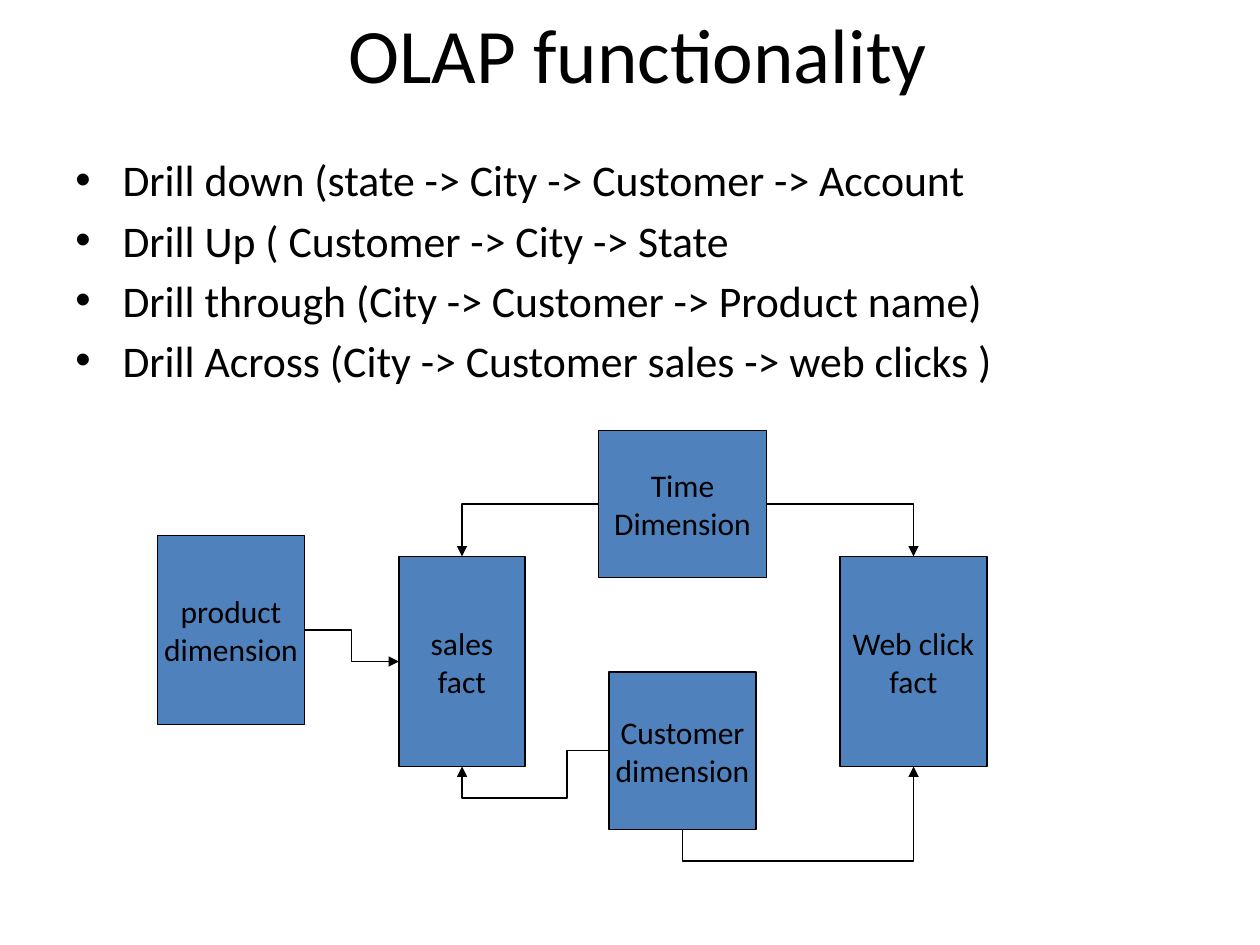
from lxml import etree
from pptx import Presentation
from pptx.dml.color import RGBColor
from pptx.enum.shapes import MSO_CONNECTOR, MSO_SHAPE
from pptx.enum.text import MSO_ANCHOR, PP_ALIGN
from pptx.oxml.ns import qn
from pptx.util import Emu, Pt

ELBOW = MSO_CONNECTOR.ELBOW
RECTANGLE = MSO_SHAPE.RECTANGLE
TOP, MIDDLE = MSO_ANCHOR.TOP, MSO_ANCHOR.MIDDLE
LEFT, CENTER = PP_ALIGN.LEFT, PP_ALIGN.CENTER
SIDE_TOP, SIDE_LEFT, SIDE_BOTTOM, SIDE_RIGHT = range(4)
PX = 9525

THEME = {
    "font": "Calibri",
    "ink": RGBColor(0x00, 0x00, 0x00),
    "box": RGBColor(0x4F, 0x81, 0xBD),
    "title": 44,
    "body": 25,
    "label": 18,
    "line": Pt(0.75),
}


def px(*lengths):
    return [Emu(length * PX) for length in lengths]


def write_text(holder, lines, size, align=LEFT, anchor=TOP, wrap=True, indent=0, gap=0):
    frame = holder.text_frame
    frame.word_wrap = wrap
    frame.vertical_anchor = anchor
    for index, line in enumerate(lines):
        paragraph = frame.add_paragraph() if index else frame.paragraphs[0]
        paragraph.alignment = align
        if index and gap:
            paragraph.space_before = Pt(gap)
        if indent:
            properties = paragraph._p.get_or_add_pPr()
            properties.set("marL", str(indent * PX))
            properties.set("indent", str(-indent * PX))
            etree.SubElement(properties, qn("a:buFont"), typeface="Arial")
            etree.SubElement(properties, qn("a:buChar"), char="•")
        run = paragraph.add_run()
        run.text = line
        run.font.name = THEME["font"]
        run.font.size = Pt(size)
        run.font.color.rgb = THEME["ink"]


deck = Presentation()
deck.slide_width, deck.slide_height = px(960, 720)
slide = deck.slides.add_slide(deck.slide_layouts[6])
shapes = slide.shapes

title = shapes.add_textbox(*px(256, 0, 864, 120))
write_text(title, ["OLAP functionality"], THEME["title"])

operations = shapes.add_textbox(*px(48, 112, 872, 475))
write_text(
    operations,
    [
        "Drill down (state -> City -> Customer -> Account",
        "Drill Up ( Customer -> City -> State",
        "Drill through (City -> Customer -> Product name)",
        "Drill Across (City -> Customer sales -> web clicks )",
    ],
    THEME["body"],
    indent=36,
    gap=4.4,
)

tables = {}
for key, bounds, label in [
    ("customer", (464, 512, 112, 120), ["Customer", "dimension"]),
    ("product", (120, 408, 112, 144), ["product", "dimension"]),
    ("sales", (304, 424, 96, 160), ["sales", "fact"]),
    ("time", (456, 328, 128, 112), ["Time", "Dimension"]),
    ("web", (640, 424, 112, 160), ["Web click", "fact"]),
]:
    table = shapes.add_shape(RECTANGLE, *px(*bounds))
    table.shadow.inherit = False
    table.fill.solid()
    table.fill.fore_color.rgb = THEME["box"]
    table.line.color.rgb = THEME["ink"]
    table.line.width = THEME["line"]
    write_text(table, label, THEME["label"], align=CENTER, anchor=MIDDLE, wrap=False)
    tables[key] = table

for source, source_side, target, target_side, bend, rotation, flips, adjustments in [
    ("product", SIDE_RIGHT, "sales", SIDE_LEFT, "bentConnector3", 0, "", [50000]),
    ("time", SIDE_LEFT, "sales", SIDE_TOP, "bentConnector2", 180, "v", []),
    ("customer", SIDE_LEFT, "sales", SIDE_BOTTOM, "bentConnector4", 180, "v", [28600, 300000]),
    ("time", SIDE_RIGHT, "web", SIDE_TOP, "bentConnector2", 0, "", []),
    ("customer", SIDE_BOTTOM, "web", SIDE_BOTTOM, "bentConnector3", 90, "hv", [-50000]),
]:
    relation = shapes.add_connector(ELBOW, 0, 0, 0, 0)
    relation.begin_connect(tables[source], source_side)
    relation.end_connect(tables[target], target_side)
    properties = relation._element.spPr
    transform = properties.xfrm
    transform.rot = rotation
    transform.flipH, transform.flipV = "h" in flips, "v" in flips
    if rotation == 90:
        width, height = relation.width, relation.height
        relation.left += (width - height) // 2
        relation.top += (height - width) // 2
        relation.width, relation.height = height, width
    geometry = properties.find(qn("a:prstGeom"))
    geometry.set("prst", bend)
    guides = geometry.find(qn("a:avLst"))
    for number, value in enumerate(adjustments, 1):
        etree.SubElement(guides, qn("a:gd"), name=f"adj{number}", fmla=f"val {value}")
    relation.line.color.rgb = THEME["ink"]
    relation.line.width = THEME["line"]
    etree.SubElement(properties.find(qn("a:ln")), qn("a:tailEnd"), type="triangle")
    etree.SubElement(properties, qn("a:effectLst"))

deck.save("out.pptx")
